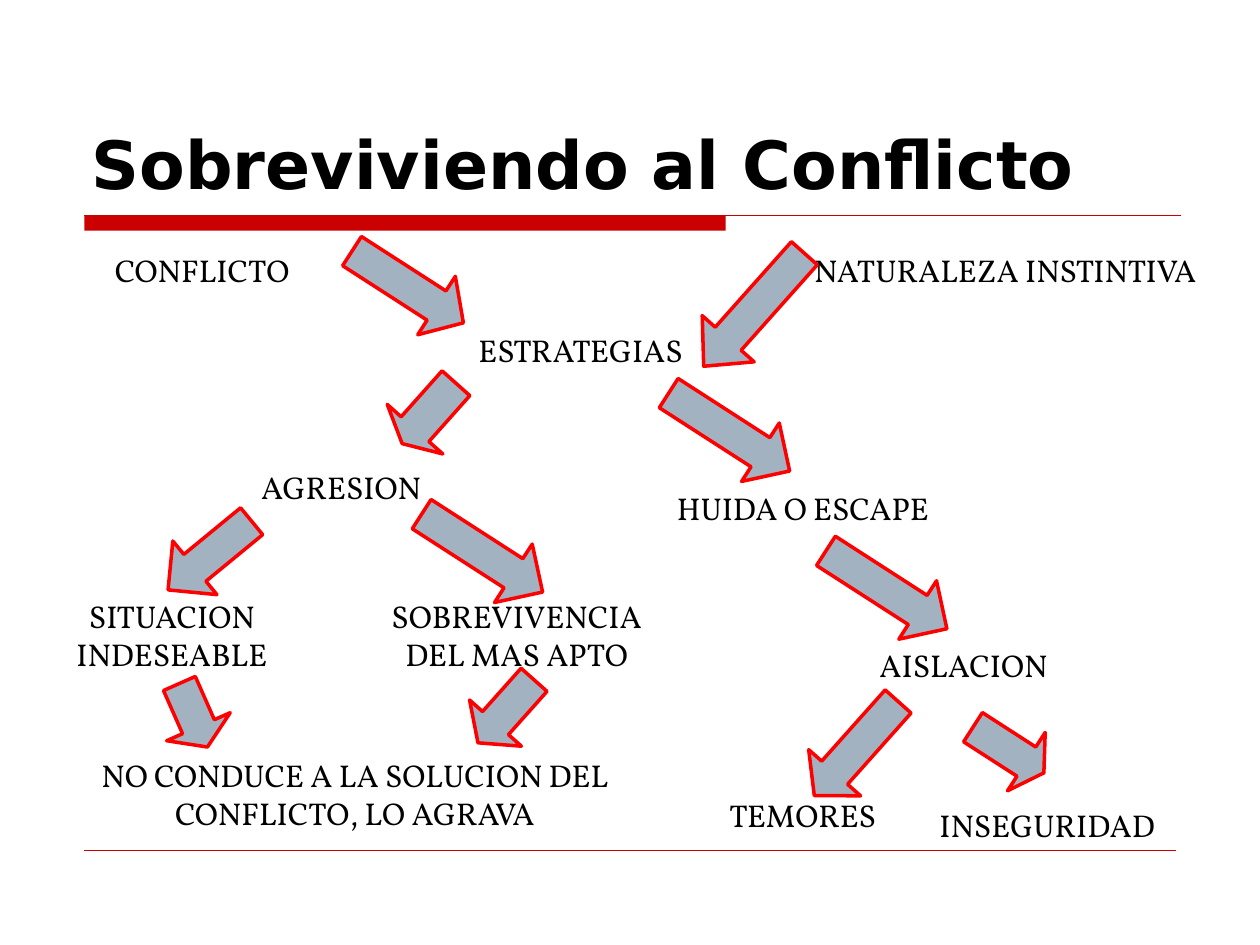
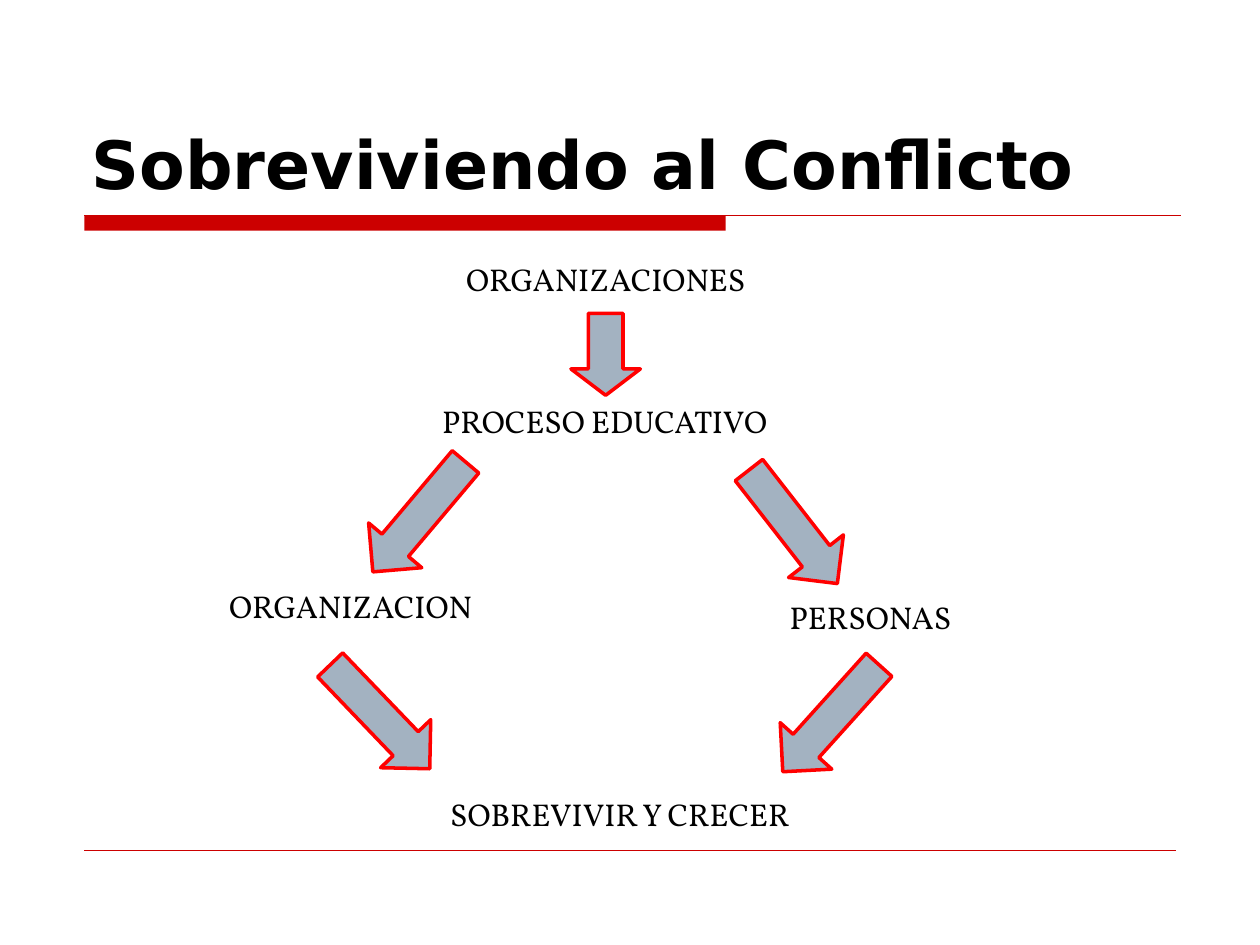
from pptx import Presentation
from pptx.dml.color import RGBColor
from pptx.enum.shapes import MSO_CONNECTOR, MSO_SHAPE
from pptx.enum.text import MSO_ANCHOR, PP_ALIGN
from pptx.oxml.ns import qn
from pptx.util import Cm, Pt
from lxml.etree import SubElement

HUE = {"band": "CC0000", "text": "000000", "fill": "A3B2C1", "edge": "FF0000"}
TITLE = "Sobreviviendo al Conflicto"
LEFT, MID = PP_ALIGN.LEFT, PP_ALIGN.CENTER
ONE, TWO = 1.02, 1.78  # label heights for one and two lines
WIDE = 1.4             # usual arrow width

# Labels: text, left, top, width, height, alignment
# Arrows: left, top, width, length, turn, head ratio
pages = [
    {
        "labels": [
            ("CONFLICTO", 1.7, 4.93, 4.75, ONE, MID),
            ("NATURALEZA INSTINTIVA", 16.1, 4.93, 8.33, TWO, MID),
            ("ESTRATEGIAS", 6.55, 6.55, 10.31, ONE, MID),
            ("SOBREVIVENCIA DEL MAS APTO", 7.14, 11.91, 6.55, TWO, MID),
            ("SITUACION INDESEABLE", 0.99, 11.91, 4.95, TWO, MID),
            ("NO CONDUCE A LA SOLUCION DEL CONFLICTO, LO AGRAVA",
             1.4, 15.11, 11.51, TWO, MID),
            ("HUIDA O ESCAPE", 13.11, 9.73, 6.15, ONE, MID),
            ("AISLACION", 17.48, 12.9, 4.17, ONE, LEFT),
            ("TEMORES", 14.1, 15.93, 4.17, ONE, MID),
            ("INSEGURIDAD", 18.69, 16.13, 4.95, ONE, LEFT),
            ("AGRESION", 4.5, 9.32, 4.75, ONE, MID),
        ],
        "arrows": [
            (7.52, 4.45, WIDE, 2.67, -57.2, 0.46),
            (14.5, 4.72, WIDE, 3.05, 41.7, 0.53),
            (7.9, 7.52, 1.5, 1.63, 41.7, 0.26),
            (14.0, 7.26, WIDE, 2.9, -57.2, 0.5),
            (17.17, 10.44, WIDE, 2.9, -57.2, 0.5),
            (19.63, 14.27, WIDE, 1.7, -57.2, 0.3),
            (9.02, 9.7, WIDE, 2.9, -57.2, 0.5),
            (3.2, 13.72, WIDE, 1.4, -23.8, 0.32),
            (16.56, 13.82, WIDE, 2.54, 41.7, 0.44),
            (3.53, 10.11, WIDE, 2.18, 50.6, 0.5),
            (9.5, 13.49, WIDE, 1.7, 41.7, 0.38),
        ],
    },
    {
        "labels": [
            ("ORGANIZACIONES", 5.16, 5.11, 14.1, ONE, MID),
            ("PROCESO EDUCATIVO", 6.93, 7.98, 10.52, ONE, MID),
            ("ORGANIZACION", 4.37, 11.71, 5.94, ONE, LEFT),
            ("PERSONAS", 15.67, 11.94, 4.75, ONE, LEFT),
            ("SOBREVIVIR Y CRECER", 7.14, 15.9, 10.72, ONE, MID),
        ],
        "arrows": [
            (11.51, 6.32, WIDE, 1.65, 0, 0.38),
            (15.29, 9.17, WIDE, 2.9, -37.9, 0.5),
            (7.75, 8.97, WIDE, 2.9, 40.1, 0.5),
            (16.05, 13.03, WIDE, 2.9, 42, 0.5),
            (6.96, 13.0, WIDE, 2.9, -43.8, 0.5),
        ],
    },
]


def tint(name):
    return RGBColor.from_string(HUE[name])


def write(slide, text, spot, font, size, align, bold=False):
    box = slide.shapes.add_textbox(*map(Cm, spot))
    frame = box.text_frame
    frame.word_wrap = True
    para = frame.paragraphs[0]
    para.alignment = align
    run = para.add_run()
    run.text = text
    run.font.name = font
    run.font.size = Pt(size)
    run.font.bold = bold
    run.font.color.rgb = tint("text")
    return frame


deck = Presentation()
deck.slide_width, deck.slide_height = Cm(25.4), Cm(19.05)

for page in pages:
    slide = deck.slides.add_slide(deck.slide_layouts[6])

    # Red band under the title
    band = slide.shapes.add_shape(
        MSO_SHAPE.RECTANGLE, Cm(1.7), Cm(4.34), Cm(12.93), Cm(0.31))
    band.shadow.inherit = False
    band.fill.solid()
    band.fill.fore_color.rgb = tint("band")
    band.line.fill.background()

    # Thin rules: beside the band and at the foot
    for top, end, thick in ((4.34, 23.8, 0.75), (17.15, 23.7, 0.25)):
        rule = slide.shapes.add_connector(
            MSO_CONNECTOR.STRAIGHT, Cm(1.7), Cm(top), Cm(end), Cm(top))
        rule.line.color.rgb = tint("band")
        rule.line.width = Pt(thick)
        SubElement(rule.element.spPr, qn("a:effectLst"))

    # Title
    head = write(slide, TITLE, (1.6, 0.84, 22.23, 3.38),
                 "DejaVu Sans", 38, LEFT, bold=True)
    head.vertical_anchor = MSO_ANCHOR.BOTTOM

    # Labels
    for text, *spot, align in page["labels"]:
        write(slide, text, spot, "Vollkorn", 18, align)

    # Arrows
    for *spot, turn, ratio in page["arrows"]:
        arrow = slide.shapes.add_shape(MSO_SHAPE.DOWN_ARROW, *map(Cm, spot))
        arrow.shadow.inherit = False
        arrow.rotation = turn
        arrow.adjustments[0] = 0.5
        arrow.adjustments[1] = ratio
        arrow.fill.solid()
        arrow.fill.fore_color.rgb = tint("fill")
        arrow.line.color.rgb = tint("edge")
        arrow.line.width = Pt(2)

deck.save("out.pptx")
